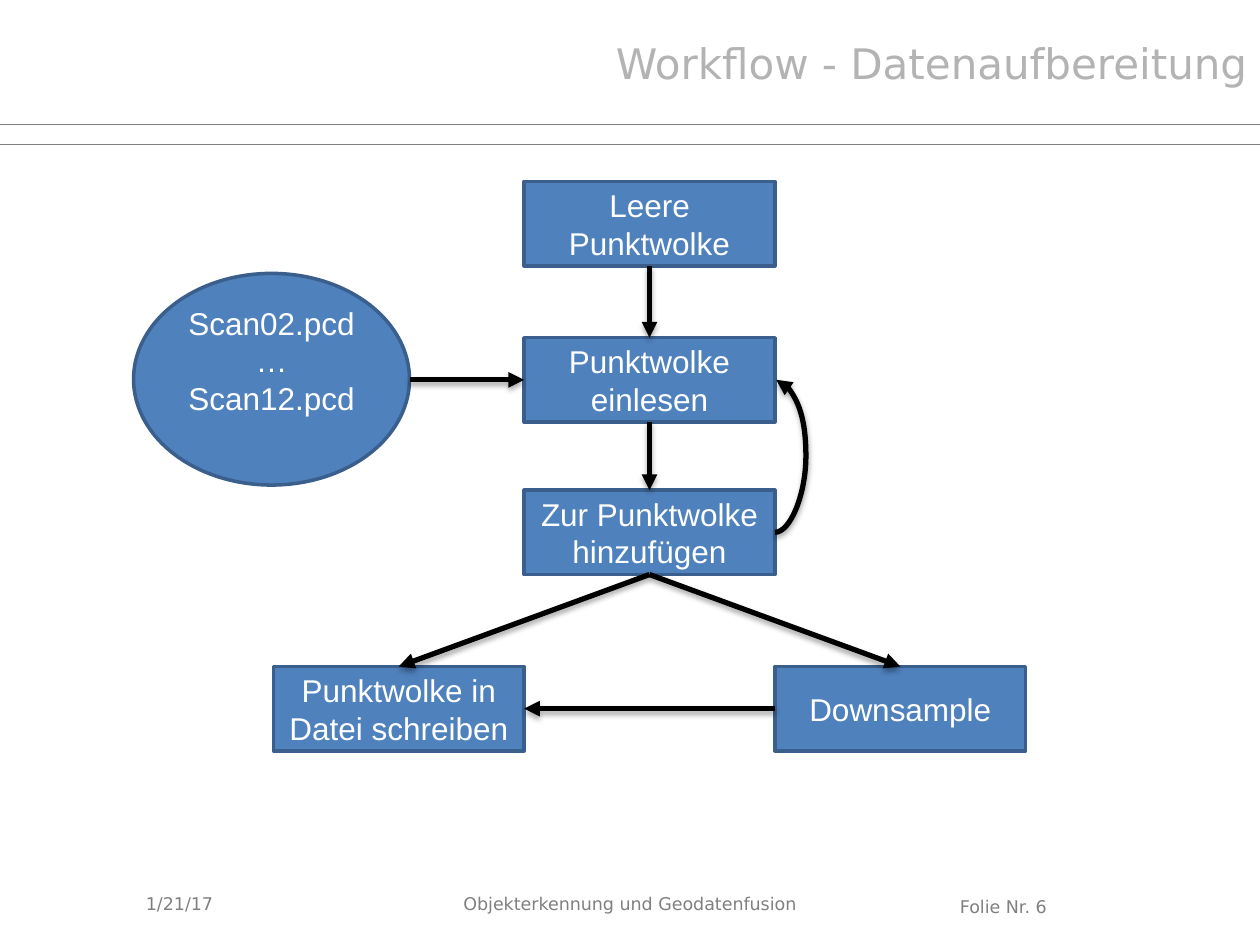
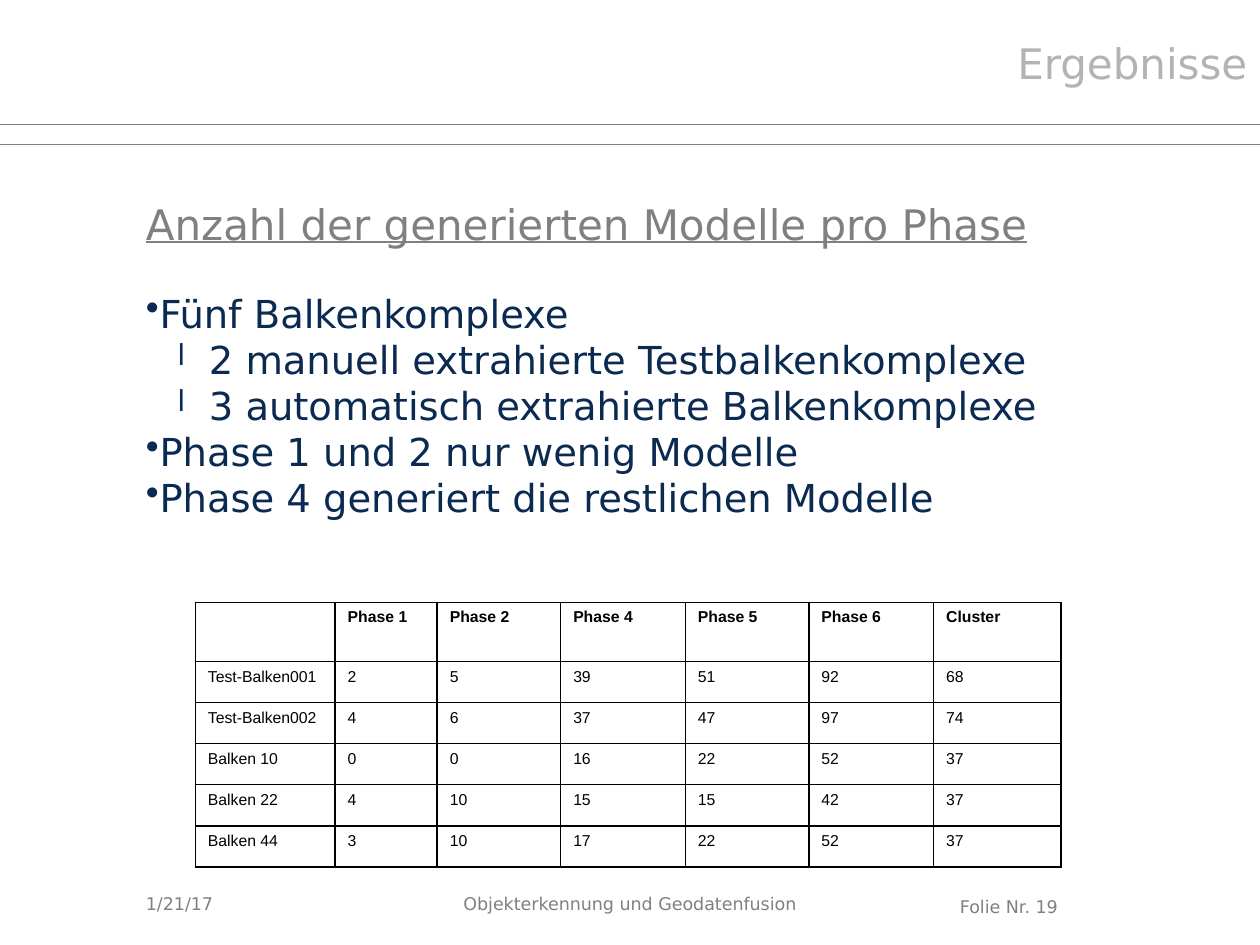
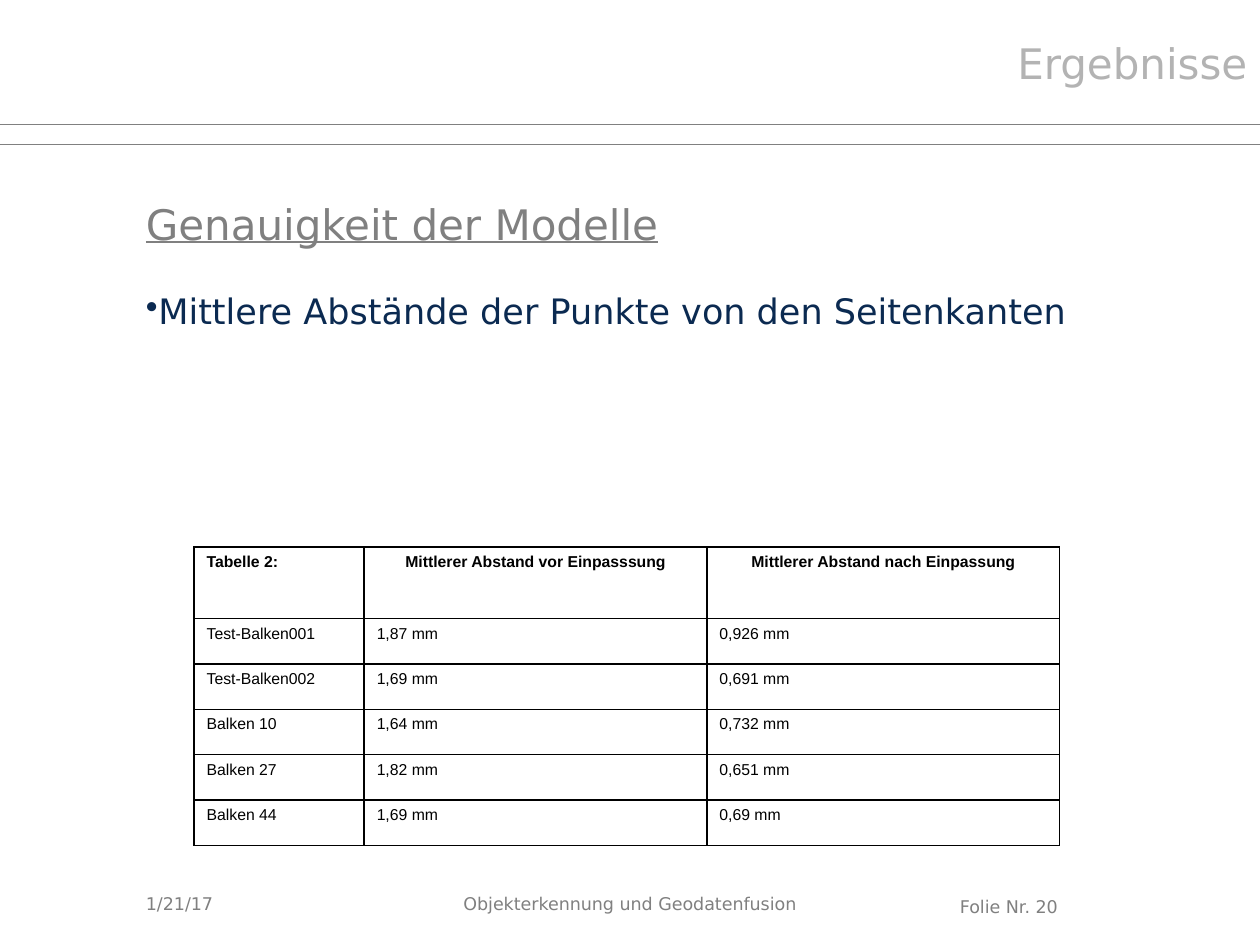
from typing import NamedTuple

from lxml import etree
from pptx import Presentation
from pptx.dml.color import RGBColor
from pptx.enum.shapes import MSO_CONNECTOR, MSO_SHAPE
from pptx.enum.text import MSO_ANCHOR, MSO_AUTO_SIZE, PP_ALIGN
from pptx.oxml import parse_xml
from pptx.oxml.ns import nsdecls, qn
from pptx.util import Inches, Pt

STRAIGHT, CURVE = MSO_CONNECTOR.STRAIGHT, MSO_CONNECTOR.CURVE
RECTANGLE, ELLIPSE = MSO_SHAPE.RECTANGLE, MSO_SHAPE.OVAL
LEFT, CENTER, RIGHT = PP_ALIGN.LEFT, PP_ALIGN.CENTER, PP_ALIGN.RIGHT
TOP, MIDDLE = MSO_ANCHOR.TOP, MSO_ANCHOR.MIDDLE

# Shared look
SLIDE_WIDTH, SLIDE_HEIGHT = Inches(10), Inches(7.5)
TITLE_ONLY = 5
GRAY, TITLE_GRAY, NAVY = "808080", "B3B3B3", "0B2A51"
BLUE, BLUE_EDGE, WHITE, BLACK = "4F81BD", "3A5F8C", "FFFFFF", "000000"
SANS, ARIAL = "DejaVu Sans", "Arial"


class Point(NamedTuple):
    """Position in percent of the slide's width and height."""
    x: float
    y: float


class Area(NamedTuple):
    """Rectangle in percent of the slide's width and height."""
    left: float
    top: float
    width: float
    height: float

    def at(self, across: float, down: float) -> Point:
        return Point(self.left + across * self.width, self.top + down * self.height)

    def emu(self) -> tuple:
        return (share_x(self.left), share_y(self.top),
                share_x(self.width), share_y(self.height))


class Style(NamedTuple):
    size: float
    color: str
    font: str = SANS
    align: int = LEFT
    anchor: int = TOP
    bold: bool = False
    underline: bool = False


class Bullet(NamedTuple):
    text: str
    level: int = 0


class TableSpec(NamedTuple):
    left: float
    top: float
    columns: list
    header_height: float
    row_height: float
    header_align: int
    rows: list


TITLE_STYLE = Style(24, TITLE_GRAY, align=RIGHT)
HEADING_STYLE = Style(24, GRAY, anchor=MIDDLE, underline=True)
FOOTER_STYLE = Style(10, GRAY)
NODE_STYLE = Style(18, WHITE, ARIAL, CENTER, MIDDLE)

TITLE_AREA = Area(46.9, 3.33, 53.1, 6.67)
HEADING_AREA = Area(10.6, 15.33, 89.4, 16.67)
BODY_AREA = Area(10.6, 30, 81.7, 35.33)
DATE_AREA = Area(10.6, 92.93, 23.3, 5.33)
TOPIC_AREA = Area(35.8, 93.87, 34.6, 3.47)
NUMBER_AREA = Area(75.2, 94.13, 18.9, 3.47)
HEADER_RULES = (13.2, 15.33)

# Workflow grid
COLUMN_START, NODE_WIDTH, NODE_HEIGHT = 21.7, 19.9, 8.93
ROW_TOPS = (19.2, 35.73, 51.87, 70.53)

PHASE_TABLE = TableSpec(
    15.5, 63.73, [11.1, 8.1, 9.8, 9.9, 9.8, 9.9, 10.1], 6.27, 4.35, LEFT,
    [["", "Phase 1", "Phase 2", "Phase 4", "Phase 5", "Phase 6", "Cluster"],
     ["Test-Balken001", "2", "5", "39", "51", "92", "68"],
     ["Test-Balken002", "4", "6", "37", "47", "97", "74"],
     ["Balken 10", "0", "0", "16", "22", "52", "37"],
     ["Balken 22", "4", "10", "15", "15", "42", "37"],
     ["Balken 44", "3", "10", "17", "22", "52", "37"]])

DISTANCE_TABLE = TableSpec(
    15.4, 57.87, [13.5, 27.2, 28], 7.6, 4.8, CENTER,
    [["Tabelle 2:", "Mittlerer Abstand vor Einpasssung", "Mittlerer Abstand nach Einpassung"],
     ["Test-Balken001", "1,87 mm", "0,926 mm"],
     ["Test-Balken002", "1,69 mm", "0,691 mm"],
     ["Balken 10", "1,64 mm", "0,732 mm"],
     ["Balken 27", "1,82 mm", "0,651 mm"],
     ["Balken 44", "1,69 mm", "0,69 mm"]])


def share_x(percent: float) -> int:
    return round(SLIDE_WIDTH * percent / 100)


def share_y(percent: float) -> int:
    return round(SLIDE_HEIGHT * percent / 100)


def rgb(color: str) -> RGBColor:
    return RGBColor.from_string(color)


# Text
def format_paragraph(paragraph, style: Style) -> None:
    paragraph.alignment = style.align
    for run in paragraph.runs:
        run.font.name = style.font
        run.font.size = Pt(style.size)
        run.font.bold = style.bold
        run.font.underline = style.underline
        run.font.color.rgb = rgb(style.color)


def write(shape, text: str, style: Style) -> None:
    text_frame = shape.text_frame
    text_frame.text = text
    text_frame.word_wrap = True
    text_frame.auto_size = MSO_AUTO_SIZE.NONE
    text_frame.vertical_anchor = style.anchor
    for paragraph in text_frame.paragraphs:
        format_paragraph(paragraph, style)


def add_text(slide, area: Area, text: str, style: Style) -> None:
    write(slide.shapes.add_textbox(*area.emu()), text, style)


def add_bullets(slide, bullets: list, size: float) -> None:
    text_frame = slide.shapes.add_textbox(*BODY_AREA.emu()).text_frame
    text_frame.word_wrap = True
    for index, bullet in enumerate(bullets):
        paragraph = text_frame.paragraphs[0] if index == 0 else text_frame.add_paragraph()
        paragraph.text = bullet.text
        paragraph.level = bullet.level
        format_paragraph(paragraph, Style(size, NAVY))
        properties = paragraph._p.get_or_add_pPr()
        properties.set("marL", str(Inches(0.5 * bullet.level)))
        properties.set("indent", str(Inches(-0.25 * bullet.level)))
        if bullet.level:
            etree.SubElement(properties, qn("a:buSzPct"), val="75000")
        etree.SubElement(properties, qn("a:buChar"), char="l" if bullet.level else "•")


# Lines and arrows
def add_line(slide, start: Point, end: Point, color: str, width: float, kind: int = STRAIGHT):
    connector = slide.shapes.add_connector(
        kind, share_x(start.x), share_y(start.y), share_x(end.x), share_y(end.y))
    connector.line.color.rgb = rgb(color)
    connector.line.width = Pt(width)
    etree.SubElement(connector._element.spPr, qn("a:effectLst"))
    return connector


def add_arrow(slide, start: Point, end: Point, kind: int = STRAIGHT):
    connector = add_line(slide, start, end, BLACK, 3, kind)
    etree.SubElement(connector.line._get_or_add_ln(), qn("a:tailEnd"), type="triangle")
    effects = connector._element.spPr.find(qn("a:effectLst"))
    effects.append(parse_xml(
        f'<a:outerShdw {nsdecls("a")} blurRad="40000" dist="23000" dir="5400000" '
        f'rotWithShape="0"><a:srgbClr val="{BLACK}"><a:alpha val="35000"/></a:srgbClr>'
        '</a:outerShdw>'))
    return connector


def add_loop(slide, start: Point, end: Point, bulge: float) -> None:
    connector = add_arrow(slide, start, end, CURVE)
    geometry = connector._element.spPr.find(qn("a:prstGeom"))
    adjustments = geometry.find(qn("a:avLst"))
    if adjustments is None:
        adjustments = etree.SubElement(geometry, qn("a:avLst"))
    ratio = round(bulge / (end.x - start.x) * 100000)
    etree.SubElement(adjustments, qn("a:gd"), name="adj1", fmla=f"val {ratio}")


# Workflow nodes
def node_area(column: int, row: int) -> Area:
    return Area(COLUMN_START + column * NODE_WIDTH, ROW_TOPS[row], NODE_WIDTH, NODE_HEIGHT)


def add_node(slide, area: Area, text: str, kind: int = RECTANGLE):
    shape = slide.shapes.add_shape(kind, *area.emu())
    shape.shadow.inherit = False
    shape.fill.solid()
    shape.fill.fore_color.rgb = rgb(BLUE)
    shape.line.color.rgb = rgb(BLUE_EDGE)
    shape.line.width = Pt(2)
    write(shape, text, NODE_STYLE)
    return shape


# Tables
def set_borders(cell) -> None:
    properties = cell._tc.get_or_add_tcPr()
    for index, side in enumerate(("lnL", "lnR", "lnT", "lnB")):
        properties.insert(index, parse_xml(
            f'<a:{side} {nsdecls("a")} w="{Pt(1)}"><a:solidFill>'
            f'<a:srgbClr val="{BLACK}"/></a:solidFill></a:{side}>'))


def add_table(slide, spec: TableSpec) -> None:
    heights = [spec.header_height] + [spec.row_height] * (len(spec.rows) - 1)
    area = Area(spec.left, spec.top, sum(spec.columns), sum(heights))
    table = slide.shapes.add_table(len(heights), len(spec.columns), *area.emu()).table
    table.first_row = table.horz_banding = False
    for column, width in zip(table.columns, spec.columns):
        column.width = share_x(width)
    for row_index, (values, height) in enumerate(zip(spec.rows, heights)):
        table.rows[row_index].height = share_y(height)
        for column_index, value in enumerate(values):
            cell = table.cell(row_index, column_index)
            cell.text = value
            cell.fill.background()
            set_borders(cell)
            header = row_index == 0
            align = spec.header_align if header and column_index else LEFT
            format_paragraph(cell.text_frame.paragraphs[0],
                             Style(9, BLACK, ARIAL, align, bold=header))


# Slides
def add_slide(presentation, title: str, number: int):
    slide = presentation.slides.add_slide(presentation.slide_layouts[TITLE_ONLY])
    for y in HEADER_RULES:
        add_line(slide, Point(0, y), Point(100, y), GRAY, 0.5)
    placeholder = slide.shapes.title
    placeholder.left, placeholder.top, placeholder.width, placeholder.height = TITLE_AREA.emu()
    write(placeholder, title, TITLE_STYLE)
    add_text(slide, DATE_AREA, "1/21/17", FOOTER_STYLE._replace(anchor=MIDDLE))
    add_text(slide, TOPIC_AREA, "Objekterkennung und Geodatenfusion", FOOTER_STYLE)
    add_text(slide, NUMBER_AREA, f"Folie Nr. {number}", FOOTER_STYLE)
    return slide


def build_workflow(presentation) -> None:
    slide = add_slide(presentation, "Workflow - Datenaufbereitung", 6)
    empty, read, merge = (node_area(1, row) for row in range(3))
    store, downsample = node_area(0, 3), node_area(2, 3)
    scans = Area(10.6, 28.93, 21.9, 22.4)
    for area, text in ((empty, "Leere Punktwolke"),
                       (read, "Punktwolke einlesen"),
                       (merge, "Zur Punktwolke hinzufügen"),
                       (store, "Punktwolke in Datei schreiben"),
                       (downsample, "Downsample")):
        add_node(slide, area, text)
    scan_list = add_node(slide, scans, "Scan02.pcd\v…\vScan12.pcd", ELLIPSE)
    scan_list.text_frame.margin_top = 0
    scan_list.text_frame.margin_bottom = Inches(0.3)

    for upper, lower in ((empty, read), (read, merge), (merge, store), (merge, downsample)):
        add_arrow(slide, upper.at(0.5, 1), lower.at(0.5, 0))
    add_arrow(slide, Point(scans.left + scans.width, read.at(0, 0.5).y), read.at(0, 0.5))
    add_arrow(slide, downsample.at(0, 0.5), store.at(1, 0.5))
    loop_end = read.at(1, 0.5)
    add_loop(slide, merge.at(1, 0.5), loop_end._replace(x=loop_end.x + 0.1), 2.5)


def build_results(presentation, number: int, heading: str, bullets: list,
                  size: float, table: TableSpec) -> None:
    slide = add_slide(presentation, "Ergebnisse", number)
    add_text(slide, HEADING_AREA, heading, HEADING_STYLE)
    add_bullets(slide, bullets, size)
    add_table(slide, table)


def main() -> None:
    presentation = Presentation()
    presentation.slide_width, presentation.slide_height = SLIDE_WIDTH, SLIDE_HEIGHT
    build_workflow(presentation)
    build_results(presentation, 19, "Anzahl der generierten Modelle pro Phase", [
        Bullet("Fünf Balkenkomplexe"),
        Bullet("2 manuell extrahierte Testbalkenkomplexe", 1),
        Bullet("3 automatisch extrahierte Balkenkomplexe", 1),
        Bullet("Phase 1 und 2 nur wenig Modelle"),
        Bullet("Phase 4 generiert die restlichen Modelle"),
    ], 22, PHASE_TABLE)
    build_results(presentation, 20, "Genauigkeit der Modelle", [
        Bullet("Mittlere Abstände der Punkte von den Seitenkanten"),
    ], 20, DISTANCE_TABLE)
    presentation.save("out.pptx")


if __name__ == "__main__":
    main()
